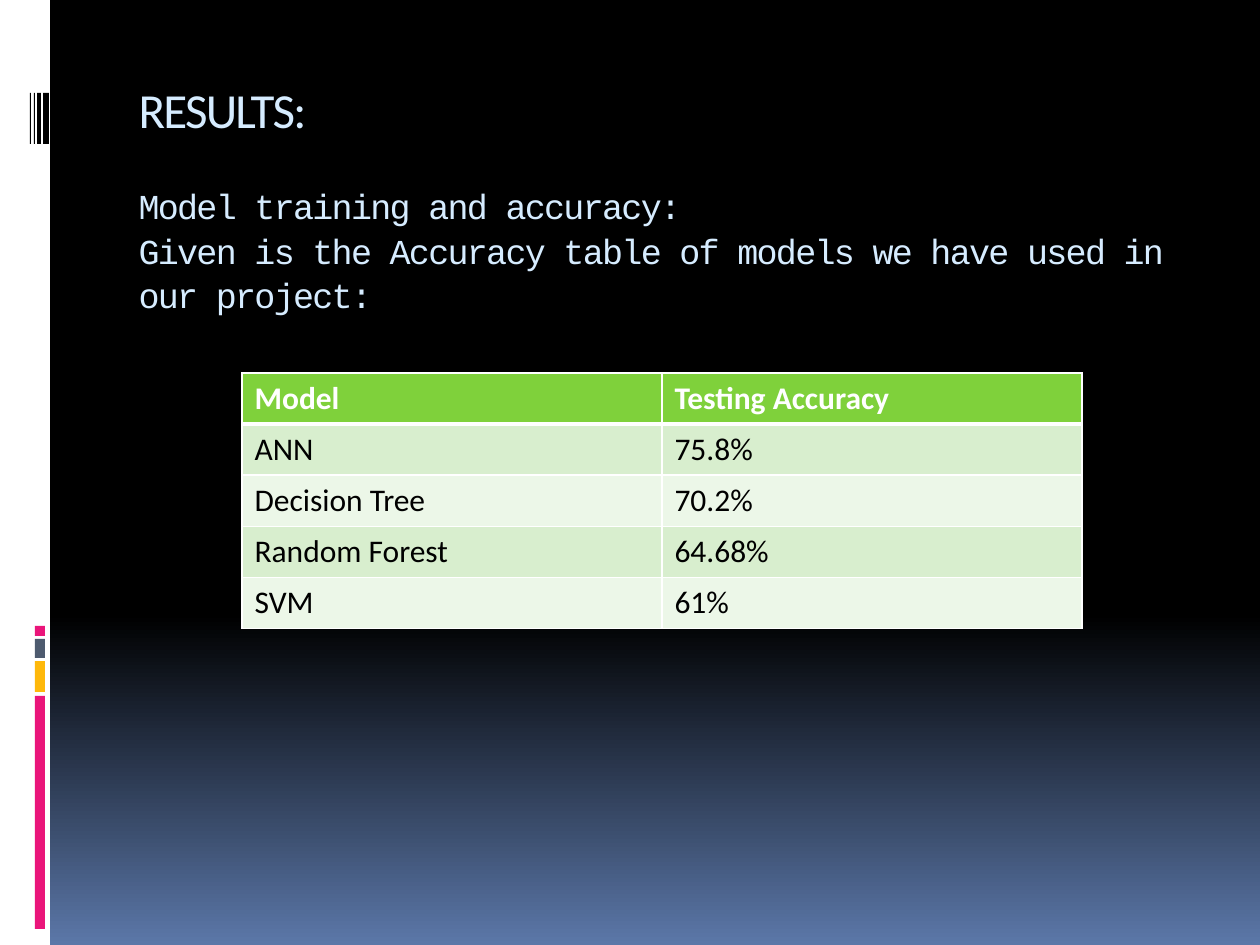
from copy import deepcopy

from pptx import Presentation
from pptx.dml.color import RGBColor
from pptx.enum.shapes import MSO_SHAPE
from pptx.enum.text import MSO_ANCHOR, MSO_AUTO_SIZE, PP_ALIGN
from pptx.oxml.ns import qn
from pptx.util import Pt
from lxml.etree import SubElement

BLACK = RGBColor(0x00, 0x00, 0x00)
WHITE = RGBColor(0xFF, 0xFF, 0xFF)
DUSK = RGBColor(0x5B, 0x77, 0xA8)
MAGENTA = RGBColor(0xEA, 0x15, 0x7A)
AMBER = RGBColor(0xFE, 0xB8, 0x0A)
SLATE = RGBColor(0x4E, 0x5B, 0x6F)
ICE = RGBColor(0xD6, 0xEC, 0xFF)
GREEN = RGBColor(0x7F, 0xD1, 0x3B)
BANDS = (RGBColor(0xD8, 0xEE, 0xCE), RGBColor(0xEC, 0xF7, 0xE8))

HEADING = {"name": "Calibri", "size": Pt(28)}
INTRO = {"name": "Courier New", "size": Pt(20)}
CELL = {"name": "Calibri", "size": Pt(18)}


def px(length):
    return length * 914400 // 126


def set_all(target, values):
    for name, value in values.items():
        setattr(target, name, value)


class SlideBuilder:
    def __init__(self, width, height):
        self.deck = Presentation()
        self.deck.slide_width, self.deck.slide_height = px(width), px(height)
        self.slide = self.deck.slides.add_slide(self.deck.slide_layouts[5])

    def background(self, top, bottom, hold):
        """Keep the top colour down to the hold point, then fade."""
        fill = self.slide.background.fill
        fill.gradient()
        fill.gradient_angle = 270
        for stop, color, position in zip(fill.gradient_stops, (top, bottom), (hold, 1)):
            stop.color.rgb = color
            stop.position = position
        held = self.slide.element.xpath(".//a:gs")[0]
        first = deepcopy(held)
        first.set("pos", "0")
        held.addprevious(first)

    def bar(self, left, top, width, height, color):
        bar = self.slide.shapes.add_shape(
            MSO_SHAPE.RECTANGLE, *map(px, (left, top, width, height)))
        bar.shadow.inherit = False
        bar.fill.solid()
        bar.fill.fore_color.rgb = color
        bar.line.fill.background()

    def title(self, left, top, width, height, lines):
        title = self.slide.shapes.title
        set_all(title, {"left": px(left), "top": px(top),
                        "width": px(width), "height": px(height)})
        frame = title.text_frame
        set_all(frame, {"word_wrap": True, "auto_size": MSO_AUTO_SIZE.NONE,
                        "vertical_anchor": MSO_ANCHOR.TOP})
        frame.text = "\n".join(text for text, _, _ in lines)
        for paragraph, (_, font, gap) in zip(frame.paragraphs, lines):
            set_all(paragraph, {"alignment": PP_ALIGN.LEFT, "line_spacing": 1.06,
                                "space_before": Pt(gap)})
            run = paragraph.runs[0]
            set_all(run.font, font)
            run.font.color.rgb = ICE
            run.font._element.set("spc", "-100")

    def borders(self, cell, widths):
        properties = cell._tc.get_or_add_tcPr()
        for position, (side, width) in enumerate(widths.items()):
            line = properties.makeelement(qn(f"a:{side}"), {"w": str(Pt(width))})
            color = SubElement(SubElement(line, qn("a:solidFill")), qn("a:srgbClr"))
            color.set("val", str(WHITE))
            properties.insert(position, line)

    def table(self, left, top, width, row_height, rows):
        table = self.slide.shapes.add_table(
            len(rows), len(rows[0]), px(left), px(top),
            px(width), px(row_height * len(rows))).table
        table.horz_banding = False
        for r, row in enumerate(rows):
            header = r == 0
            table.rows[r].height = px(row_height)
            for c, text in enumerate(row):
                cell = table.cell(r, c)
                cell.text = text
                cell.fill.solid()
                cell.fill.fore_color.rgb = GREEN if header else BANDS[(r - 1) % 2]
                font = cell.text_frame.paragraphs[0].runs[0].font
                set_all(font, {**CELL, "bold": header})
                font.color.rgb = WHITE if header else BLACK
                self.borders(cell, {"lnL": 1, "lnR": 1, "lnT": 3 if r == 1 else 1,
                                    "lnB": 3 if header else 1})


def main():
    builder = SlideBuilder(1260, 945)
    builder.background(BLACK, DUSK, 0.65)

    # Side strip with its coloured bars and barcode
    builder.bar(0, 0, 50, 945, WHITE)
    for top, height, color in ((696, 233, MAGENTA), (661, 31, AMBER),
                               (639, 19, SLATE), (626, 10, MAGENTA)):
        builder.bar(35, top, 10, height, color)
    for left, width in ((43, 6), (37, 4), (34, 1), (30, 1)):
        builder.bar(left, 93, width, 51, BLACK)

    # Heading and introduction
    builder.title(126, 70, 1071, 815, [
        ("RESULTS:", HEADING, 0),
        ("Model training and accuracy:", INTRO, 25),
        ("Given is the Accuracy table of models we have used in our project:", INTRO, 0),
    ])

    # Accuracy of each model
    builder.table(242, 373, 840, 51, [
        ("Model", "Testing Accuracy"),
        ("ANN", "75.8%"),
        ("Decision Tree", "70.2%"),
        ("Random Forest", "64.68%"),
        ("SVM", "61%"),
    ])
    builder.deck.save("out.pptx")


if __name__ == "__main__":
    main()
